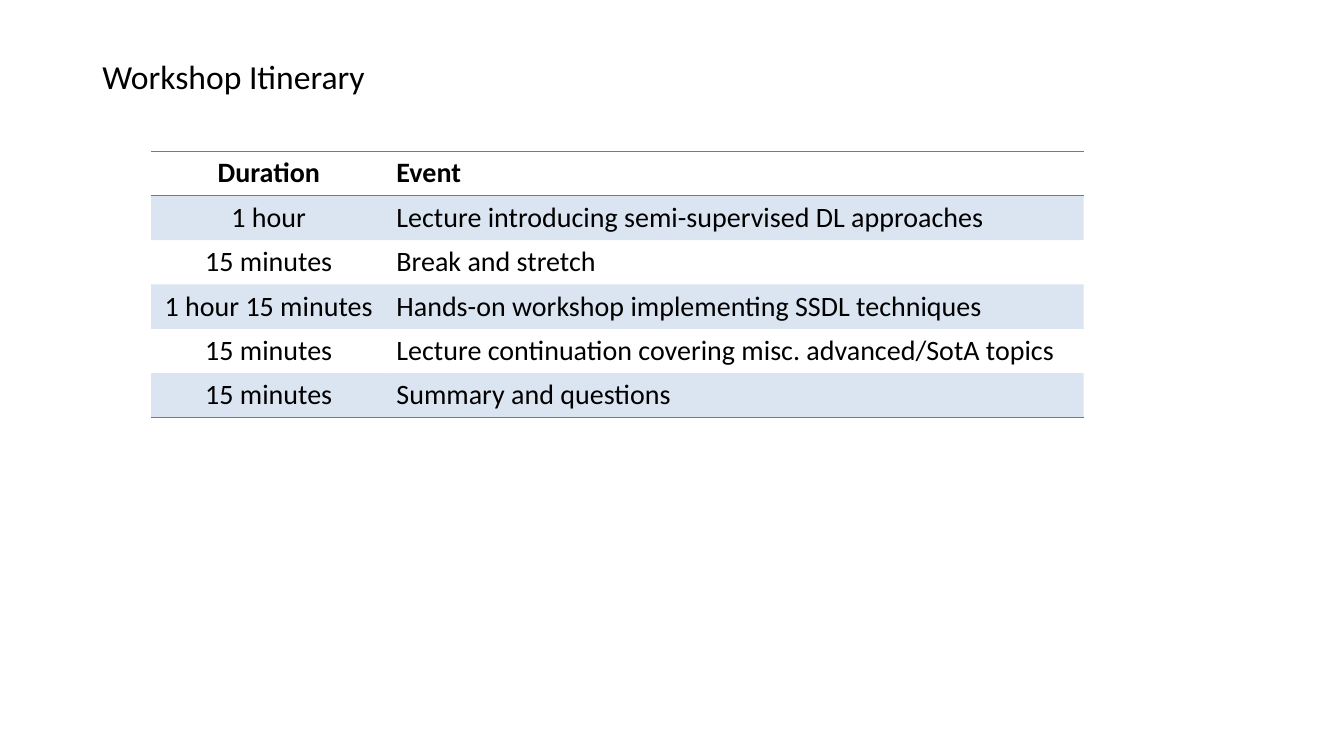
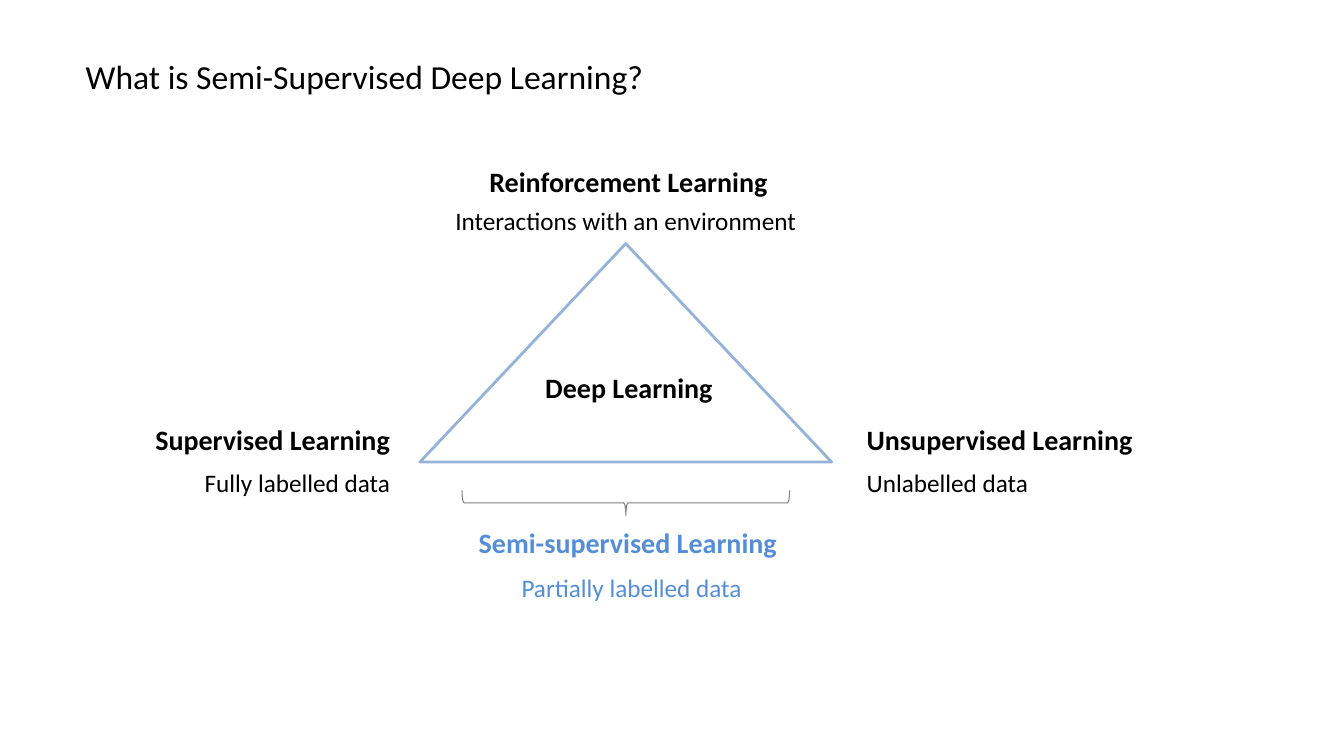
from lxml import etree
from pptx import Presentation
from pptx import util as u
from pptx.dml.color import RGBColor
from pptx.enum import shapes, text
from pptx.oxml import ns

FONT = "Calibri"
COLORS = {"text": "000000", "accent": "558ED5", "table": "4F81BD",
          "triangle": "95B3D7", "brace": "808080"}
BAND_ALPHA = 20
NO_STYLE = "{2D5ABB26-0587-4C30-8999-92F81FD0307C}"
LEFT, CENTER, RIGHT = text.PP_ALIGN.LEFT, text.PP_ALIGN.CENTER, text.PP_ALIGN.RIGHT

ITINERARY = [
    ("Duration", "Event"),
    ("1 hour", "Lecture introducing semi-supervised DL approaches"),
    ("15 minutes", "Break and stretch"),
    ("1 hour 15 minutes", "Hands-on workshop implementing SSDL techniques"),
    ("15 minutes", "Lecture continuation covering misc. advanced/SotA topics"),
    ("15 minutes", "Summary and questions"),
]
COLUMNS = [(224, CENTER), (664, LEFT)]
TABLE_LEFT, TABLE_TOP, TABLE_HEIGHT = 144, 144, 250

# text, left, top, width, alignment, colour
HEADINGS = [
    ("Reinforcement Learning", 455, 152, 287, CENTER, "text"),
    ("Unsupervised Learning", 816, 398, 276, LEFT, "text"),
    ("Supervised Learning", 136, 398, 245, RIGHT, "text"),
    ("Deep Learning", 509, 348, 180, CENTER, "text"),
    ("Semi-supervised Learning", 445, 496, 306, CENTER, "accent"),
]
DETAILS = [
    ("Interactions with an environment", 422, 191, 348, CENTER, "text"),
    ("Fully labelled data", 183, 440, 198, RIGHT, "text"),
    ("Unlabelled data", 816, 440, 175, LEFT, "text"),
    ("Partially labelled data", 486, 540, 231, CENTER, "accent"),
]
# size in points, bold, box height
HEADING_STYLE = (20, True, 42)
DETAIL_STYLE = (18, False, 38)


def px(n):
    return u.Emu(n * 9525)


def rgb(name):
    return RGBColor.from_string(COLORS[name])


def write(tf, content, size, bold=False, align=LEFT, color="text"):
    tf.text = content
    p = tf.paragraphs[0]
    p.alignment = align
    p.font.name, p.font.size, p.font.bold = FONT, u.Pt(size), bold
    p.font.color.rgb = rgb(color)


def add_slide(prs, title, left):
    slide = prs.slides.add_slide(prs.slide_layouts[5])
    sp = slide.shapes.title
    sp.left, sp.top, sp.width, sp.height = px(left), px(48), px(1120), px(48)
    sp.text_frame.vertical_anchor = text.MSO_ANCHOR.TOP
    sp.text_frame.auto_size = text.MSO_AUTO_SIZE.NONE
    write(sp.text_frame, title, 24)
    return slide


def shade(cell):
    cell.fill.solid()
    cell.fill.fore_color.rgb = rgb("table")
    color = cell._tc.tcPr.find(".//" + ns.qn("a:srgbClr"))
    etree.SubElement(color, ns.qn("a:alpha"), val=str(BAND_ALPHA * 1000))


def add_borders(cell, sides):
    """Draw 1 pt rules; sides are given in schema order, such as "TB"."""
    tc_pr = cell._tc.get_or_add_tcPr()
    for i, side in enumerate(sides):
        ln = etree.Element(ns.qn(f"a:ln{side}"), w=str(u.Pt(1)))
        fill = etree.SubElement(ln, ns.qn("a:solidFill"))
        etree.SubElement(fill, ns.qn("a:srgbClr"), val=COLORS["table"])
        tc_pr.insert(i, ln)


def add_itinerary(slide):
    count = len(ITINERARY)
    width = sum(w for w, _ in COLUMNS)
    table = slide.shapes.add_table(count, len(COLUMNS), px(TABLE_LEFT), px(TABLE_TOP),
                                   px(width), px(TABLE_HEIGHT)).table
    table.first_row = table.horz_banding = False
    table._tbl.tblPr.find(ns.qn("a:tableStyleId")).text = NO_STYLE
    for column, (w, _) in zip(table.columns, COLUMNS):
        column.width = px(w)
    for r, row in enumerate(ITINERARY):
        for c, content in enumerate(row):
            cell = table.cell(r, c)
            write(cell.text_frame, content, 20, r == 0, COLUMNS[c][1])
            if r % 2:
                shade(cell)
            else:
                cell.fill.background()
            if r == 0:
                add_borders(cell, "TB")
            elif r == count - 1:
                add_borders(cell, "B")


def add_outline(slide, kind, box, color, weight):
    sp = slide.shapes.add_shape(kind, *map(px, box))
    sp.shadow.inherit = False
    sp.fill.background()
    sp.line.color.rgb = rgb(color)
    sp.line.width = u.Pt(weight)
    return sp


def add_labels(slide, labels, style):
    size, bold, height = style
    for content, left, top, width, align, color in labels:
        tf = slide.shapes.add_textbox(px(left), px(top), px(width), px(height)).text_frame
        tf.word_wrap = False
        write(tf, content, size, bold, align, color)


def main():
    prs = Presentation()
    prs.slide_width, prs.slide_height = px(1280), px(720)

    add_itinerary(add_slide(prs, "Workshop Itinerary", 88))

    slide = add_slide(prs, "What is Semi-Supervised Deep Learning?", 72)
    add_outline(slide, shapes.MSO_SHAPE.ISOSCELES_TRIANGLE, (400, 232, 392, 208),
                "triangle", 2)
    brace = add_outline(slide, shapes.MSO_SHAPE.RIGHT_BRACE, (584, 323, 24, 312),
                        "brace", 0.75)
    brace.rotation = 90
    add_labels(slide, HEADINGS, HEADING_STYLE)
    add_labels(slide, DETAILS, DETAIL_STYLE)

    prs.save("out.pptx")


if __name__ == "__main__":
    main()
